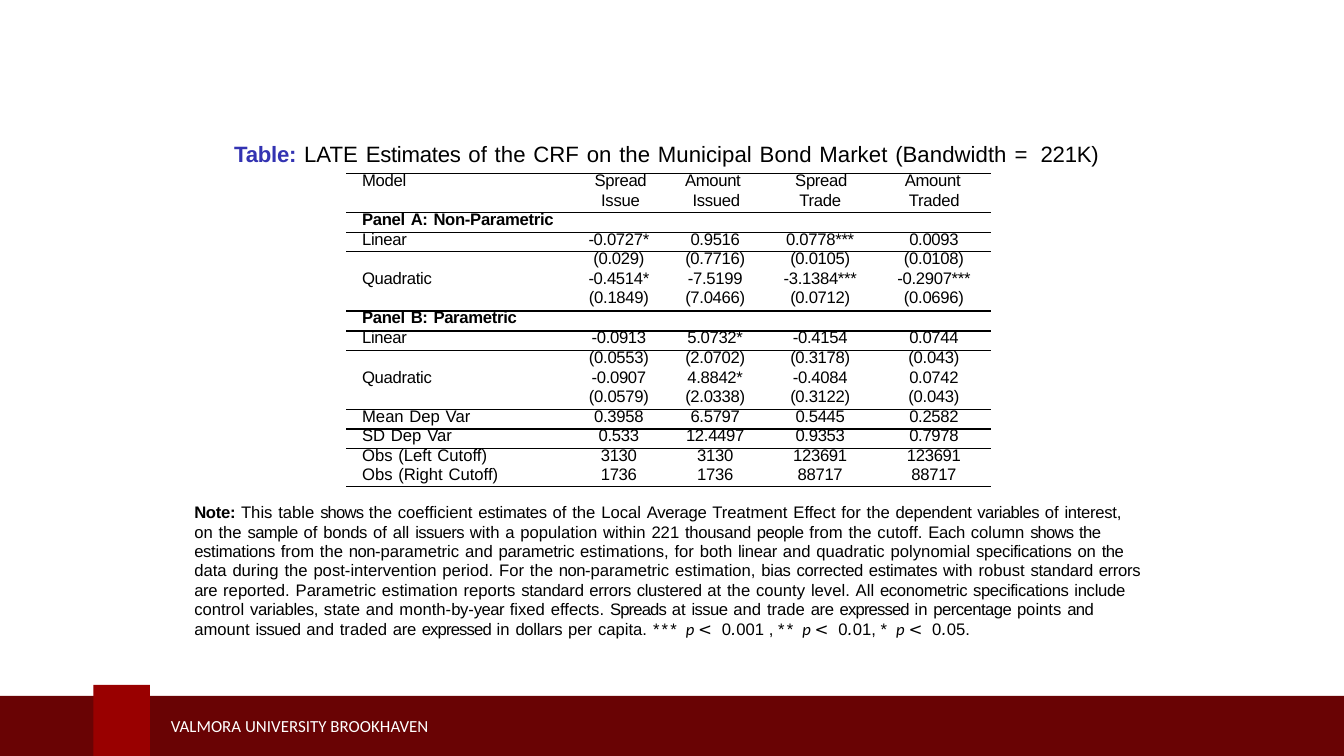
from dataclasses import dataclass
from itertools import groupby
from lxml import etree
from pptx import Presentation
from pptx import util as u
from pptx.dml.color import RGBColor
from pptx.enum import shapes, text
from pptx.oxml.ns import qn

Pt = u.Pt
COLORS = {"black": "000000", "white": "FFFFFF", "blue": "3333B2",
          "bar": "690304", "tab": "990000"}
W, H = 484.35, 272.45
NO_STYLE = "{2D5ABB26-0587-4C30-8999-92F81FD0307C}"


@dataclass
class Box:
    x: float
    y: float
    w: float
    h: float
    color: str = ""


@dataclass
class Row:
    label: str
    values: tuple = ("",) * 4
    rule: bool = False  # line below the row


@dataclass
class Header:
    lines: tuple
    indents: tuple


def add_text(p, txt: str, size: float = 6, font: str = "Arial", color: str = "black",
             bold: bool = False, italic: bool = False, spacing: float = 0,
             gap: float = 0) -> None:
    """Add text; gap widens the spaces between words."""
    parts = groupby(txt, str.isspace) if gap else [(False, txt)]
    for blank, chars in parts:
        r = p.add_run()
        r.text = "".join(chars)
        f = r.font
        f.size, f.name, f.bold, f.italic = Pt(size), font, bold, italic
        f.color.rgb = RGBColor.from_string(COLORS[color])
        track = spacing + gap if blank else spacing
        r._r.get_or_add_rPr().set("spc", str(round(track * 100)))


def set_indent(p, left: float) -> None:
    pPr = p._p.get_or_add_pPr()
    pPr.set("marL", str(Pt(left)))
    pPr.set("indent", "0")


def place(sp, box: Box) -> None:
    sp.left, sp.top, sp.width, sp.height = map(Pt, (box.x, box.y, box.w, box.h))


def format_placeholder(sp, box: Box, before: float):
    place(sp, box)
    tf = sp.text_frame
    tf.word_wrap, tf.auto_size = True, text.MSO_AUTO_SIZE.NONE
    tf.vertical_anchor = text.MSO_ANCHOR.TOP
    tf.margin_left = tf.margin_right = tf.margin_bottom = 0
    tf.margin_top = Pt(1)
    p = tf.paragraphs[0]
    p.alignment, p.space_before = text.PP_ALIGN.LEFT, Pt(before)
    set_indent(p, 0.9)
    etree.SubElement(p._p.get_or_add_pPr(), qn("a:buNone"))
    return p


def add_rect(s, box: Box) -> None:
    sp = s.shapes.add_shape(shapes.MSO_SHAPE.RECTANGLE, 0, 0, 0, 0)
    place(sp, box)
    sp.shadow.inherit = False
    sp.fill.solid()
    sp.fill.fore_color.rgb = RGBColor.from_string(COLORS[box.color])
    sp.line.fill.background()


def add_rule(cell, side: str) -> None:
    ln = etree.Element(qn(f"a:{side}"), w=str(Pt(0.5)))
    fill = etree.SubElement(ln, qn("a:solidFill"))
    etree.SubElement(fill, qn("a:srgbClr"), val=COLORS["black"])
    cell._tc.get_or_add_tcPr().insert(0, ln)


def fill_cell(cell, lines: tuple, spacings: tuple = (6,), indents: tuple = (),
              bold: bool = False, track: float = -0.1) -> None:
    cell.margin_left = cell.margin_right = cell.margin_top = cell.margin_bottom = 0
    cell.fill.background()
    tf = cell.text_frame
    for i, line in enumerate(lines):
        p = tf.paragraphs[0] if i == 0 else tf.add_paragraph()
        p.line_spacing = Pt(spacings[i])
        if indents:
            set_indent(p, indents[i])
        else:
            p.alignment = text.PP_ALIGN.CENTER
        if line:
            add_text(p, line, bold=bold, spacing=track, gap=0.4)
        else:
            etree.SubElement(p._p, qn("a:endParaRPr"), sz="600")


HEADERS = [
    Header(("Model",), (5.8,)),
    Header(("Spread", "Issue"), (8.6, 11)),
    Header(("Amount", "Issued"), (6.5, 9.2)),
    Header(("Spread", "Trade"), (11.5, 13)),
    Header(("Amount", "Traded"), (10, 11.5)),
]
ROWS = [
    Row("Panel A: Non-Parametric", rule=True),
    Row("Linear", ("-0.0727*", "0.9516", "0.0778***", "0.0093")),
    Row("", ("(0.029)", "(0.7716)", "(0.0105)", "(0.0108)")),
    Row("Quadratic", ("-0.4514*", "-7.5199", "-3.1384***", "-0.2907***")),
    Row("", ("(0.1849)", "(7.0466)", "(0.0712)", "(0.0696)"), True),
    Row("Panel B: Parametric", rule=True),
    Row("Linear", ("-0.0913", "5.0732*", "-0.4154", "0.0744")),
    Row("", ("(0.0553)", "(2.0702)", "(0.3178)", "(0.043)")),
    Row("Quadratic", ("-0.0907", "4.8842*", "-0.4084", "0.0742")),
    Row("", ("(0.0579)", "(2.0338)", "(0.3122)", "(0.043)"), True),
    Row("Mean Dep Var", ("0.3958", "6.5797", "0.5445", "0.2582"), True),
    Row("SD Dep Var", ("0.533", "12.4497", "0.9353", "0.7978")),
    Row("Obs (Left Cutoff)", ("3130", "3130", "123691", "123691")),
    Row("Obs (Right Cutoff)", ("1736", "1736", "88717", "88717"), True),
]
COLS = (81, 34.7, 34.7, 41, 41)

# Note text with its letter spacing in points
NOTE = [
    ("This table ", 0), ("shows ", -0.3), ("the coefficient ", 0), ("estimates ", -0.1),
    ("of the Local ", 0), ("Average ", -0.1), ("Treatment Effect for the ", 0),
    ("dependent ", -0.1), ("variables ", -0.2), ("of ", 0), ("interest, ", -0.1),
    ("on the ", 0), ("sample ", -0.2), ("of ", 0), ("bonds ", -0.1), ("of all ", 0),
    ("issuers ", -0.2), ("with a population within 221 ", 0), ("thousand ", -0.1),
    ("people ", -0.2), ("from the cutoff. ", 0), ("Each ", -0.1), ("column ", 0),
    ("shows ", -0.3), ("the ", -0.2), ("estimations ", -0.1), ("from the ", 0),
    ("non-", -0.2), ("parametric and ", 0), ("parametric ", -0.1),
    ("estimations, for both ", 0), ("linear ", -0.1), ("and quadratic polynomial ", 0),
    ("specifications ", -0.1), ("on ", 0), ("the ", -0.2),
    ("data during the post-intervention period. For the ", 0), ("non-", -0.2),
    ("parametric estimation, ", 0), ("bias corrected estimates ", -0.1),
    ("with robust ", 0), ("standard errors are ", -0.1),
    ("reported. Parametric estimation reports ", 0), ("standard errors clustered ", -0.1),
    ("at the county level. All ", 0), ("econometric specifications include ", -0.1),
    ("control ", 0), ("variables, ", -0.1), ("state and month-", 0), ("by-", -0.1),
    ("year ", -0.2), ("fixed effects. ", 0), ("Spreads ", -0.3), ("at ", 0),
    ("issue ", -0.2), ("and trade ", 0), ("are ", -0.1), ("expressed ", -0.3), ("in ", 0),
    ("percentage ", -0.2), ("points ", 0), ("and ", -0.2), ("amount ", 0),
    ("issued ", -0.2), ("and traded ", 0), ("are ", -0.1), ("expressed ", -0.3),
    ("in ", 0), ("dollars ", -0.1), ("per capita. ", 0),
]
LEVELS = [("*** ", "001 , "), ("** ", "01, "), ("* ", "05.")]


def main() -> None:
    prs = Presentation()
    prs.slide_width, prs.slide_height = Pt(W), Pt(H)
    s = prs.slides.add_slide(prs.slide_layouts[1])

    # Footer band
    add_rect(s, Box(0, 250.8, W, H - 250.8, "bar"))
    add_rect(s, Box(33.7, 246.8, 20.4, H - 246.8, "tab"))
    sp = s.shapes.add_textbox(0, 0, 0, 0)
    place(sp, Box(54.5, 254.3, 191.5, 14.4))
    sp.text_frame.word_wrap = True
    sp.text_frame.vertical_anchor = text.MSO_ANCHOR.MIDDLE
    add_text(sp.text_frame.paragraphs[0], "VALMORA UNIVERSITY BROOKHAVEN",
             size=6.1, font="Calibri", color="white")

    # Table caption
    p = format_placeholder(s.shapes.title, Box(83.5, 49.7, 320, 11), 0.9)
    add_text(p, "Table: ", size=8, color="blue", bold=True, spacing=-0.1, gap=0.5)
    for txt, spacing in [("LATE ", 0), ("Estimates ", -0.1),
                         ("of the CRF on the Municipal Bond Market (Bandwidth ", 0),
                         ("= ", 1), ("221K)", -0.1)]:
        add_text(p, txt, size=8, spacing=spacing, gap=0.5)

    # Table of estimates
    frame = s.shapes.add_table(len(ROWS) + 1, len(COLS), Pt(124.7), Pt(62.4),
                               Pt(sum(COLS)), Pt(111.4))
    tbl = frame.table
    tbl.first_row = tbl.horz_banding = False
    tbl._tbl.tblPr.find(qn("a:tableStyleId")).text = NO_STYLE
    for col, width in zip(tbl.columns, COLS):
        col.width = Pt(width)
    for i, row in enumerate(tbl.rows):
        row.height = Pt(6.95 if i else 14.1)
    for c, head in enumerate(HEADERS):
        fill_cell(tbl.cell(0, c), head.lines, (6.2, 7.1), head.indents)
    for i, row in enumerate(ROWS, 1):
        panel = row.label.startswith("Panel")
        track = 0 if " " in row.label and not panel else -0.1
        fill_cell(tbl.cell(i, 0), (row.label,), indents=(5.8,), bold=panel, track=track)
        for c, value in enumerate(row.values, 1):
            fill_cell(tbl.cell(i, c), (value,))

    # Rules, set on both cells that share an edge
    below = [True] + [row.rule for row in ROWS]
    above = [True] + below[:-1]
    for i, (top, bottom) in enumerate(zip(above, below)):
        for c in range(len(COLS)):
            if bottom:
                add_rule(tbl.cell(i, c), "lnB")
            if top:
                add_rule(tbl.cell(i, c), "lnT")

    # Note below the table
    p = format_placeholder(s.placeholders[1], Box(69.1, 180.1, 342.4, 51), 1.4)
    p.line_spacing = Pt(7)
    add_text(p, "Note: ", bold=True, spacing=-0.1, gap=0.42)
    for txt, spacing in NOTE:
        add_text(p, txt, spacing=spacing, gap=0.42)
    for stars, decimals in LEVELS:
        add_text(p, stars, spacing=0.8)
        add_text(p, "p ", font="Calibri", italic=True)
        add_text(p, "< ", font="DejaVu Sans", italic=True, spacing=0.8)
        add_text(p, "0")
        add_text(p, ".", font="DejaVu Sans", italic=True)
        add_text(p, decimals)

    prs.save("out.pptx")


if __name__ == "__main__":
    main()
